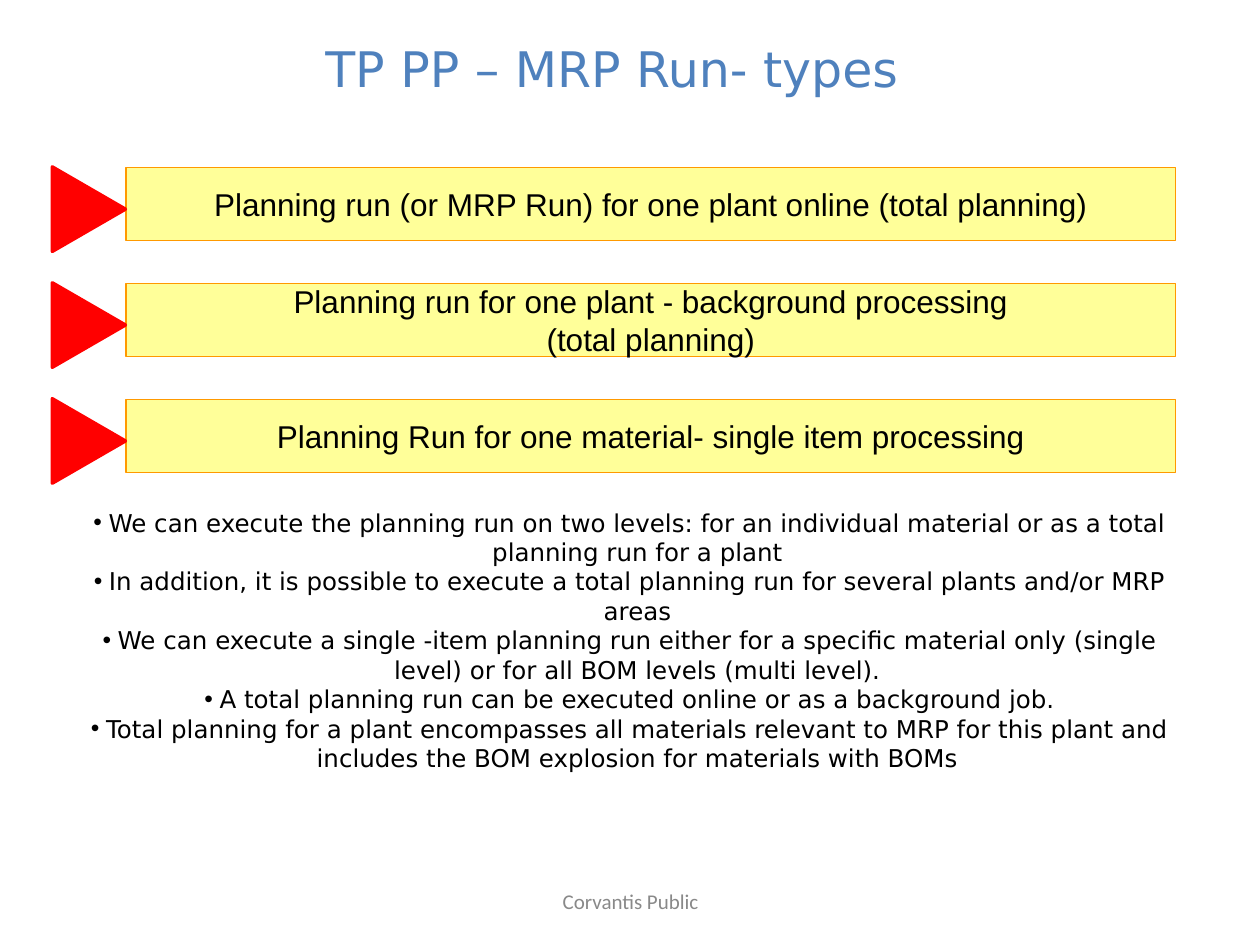
from lxml import etree
from pptx import Presentation
from pptx import util as u
from pptx.dml.color import RGBColor
from pptx.enum import shapes, text
from pptx.oxml.ns import qn

BLUE = RGBColor(0x4F, 0x81, 0xBD)
YELLOW = RGBColor(0xFF, 0xFF, 0x99)
ORANGE = RGBColor(0xFF, 0x99, 0x00)
RED = RGBColor(0xFF, 0x00, 0x00)
BLACK = RGBColor(0x00, 0x00, 0x00)
GREY = RGBColor(0x89, 0x89, 0x89)

TITLE = "TP PP – MRP Run- types"
RUN_TYPES = [
    "Planning run (or MRP Run) for one plant online (total planning)",
    "Planning run for one plant - background processing\n(total planning)",
    "Planning Run for one material- single item processing",
]
NOTES = [
    "We can execute the planning run on two levels: for an individual material or as a total planning run for a plant",
    "In addition, it is possible to execute a total planning run for several plants and/or MRP areas",
    "We can execute a single -item planning run either for a specific material only (single level) or for all BOM levels (multi level).",
    "A total planning run can be executed online or as a background job.",
    "Total planning for a plant encompasses all materials relevant to MRP for this plant and includes the BOM explosion for materials with BOMs",
]
FOOTER = "Corvantis Public"

BAR_LEFT, BAR_TOP, BAR_WIDTH, BAR_HEIGHT = 1, 1.33, 8.33, 0.58
ROW_STEP = 0.92
MARKER_LEFT, MARKER_DROP, MARKER_WIDTH = 0.37, 0.04, 0.67
BULLET_INDENT = u.Inches(0.12)


def inches(*lengths):
    return [u.Inches(length) for length in lengths]


def write(shape, content, font, size, color, wrap=True):
    frame = shape.text_frame
    frame.text = content
    frame.word_wrap = wrap
    frame.vertical_anchor = text.MSO_ANCHOR.MIDDLE
    for paragraph in frame.paragraphs:
        paragraph.alignment = text.PP_ALIGN.CENTER
        for run in paragraph.runs:
            run.font.name = font
            run.font.size = u.Pt(size)
            run.font.color.rgb = color
    return frame


def add_solid(slide, preset, box, fill, line, width):
    shape = slide.shapes.add_shape(preset, *inches(*box))
    shape.shadow.inherit = False
    shape.fill.solid()
    shape.fill.fore_color.rgb = fill
    shape.line.color.rgb = line
    shape.line.width = u.Pt(width)
    return shape


def add_bullet(paragraph):
    properties = paragraph._p.get_or_add_pPr()
    properties.set("marL", str(BULLET_INDENT))
    properties.set("indent", str(-BULLET_INDENT))
    etree.SubElement(properties, qn("a:buFont"), typeface="Arial")
    etree.SubElement(properties, qn("a:buChar"), char="•")


def main():
    deck = Presentation()
    deck.slide_width, deck.slide_height = inches(10, 7.5)
    slide = deck.slides.add_slide(deck.slide_layouts[5])

    title = slide.shapes.title
    title.left, title.top, title.width, title.height = inches(0.08, 0.17, 9.55, 0.73)
    write(title, TITLE, "DejaVu Sans", 28, BLUE)

    for row, run_type in enumerate(RUN_TYPES):
        top = BAR_TOP + row * ROW_STEP
        bar = add_solid(slide, shapes.MSO_SHAPE.RECTANGLE,
                        (BAR_LEFT, top, BAR_WIDTH, BAR_HEIGHT), YELLOW, ORANGE, 1)
        write(bar, run_type, "Arial", 18, BLACK, wrap=False)

    for row in range(len(RUN_TYPES)):
        top = BAR_TOP + MARKER_DROP + row * ROW_STEP
        marker = add_solid(slide, shapes.MSO_SHAPE.ISOSCELES_TRIANGLE,
                           (MARKER_LEFT, top, MARKER_WIDTH, BAR_HEIGHT), RED, RED, 2)
        marker.rotation = 90

    notes = slide.shapes.add_textbox(*inches(0.5, 3.98, 9, 2.24))
    frame = write(notes, "\n".join(NOTES), "DejaVu Sans", 14, BLACK)
    frame.vertical_anchor = text.MSO_ANCHOR.TOP
    frame.auto_size = text.MSO_AUTO_SIZE.SHAPE_TO_FIT_TEXT
    for paragraph in frame.paragraphs:
        add_bullet(paragraph)

    footer = slide.shapes.add_textbox(*inches(3.42, 6.95, 3.17, 0.4))
    write(footer, FOOTER, "Calibri", 12, GREY)

    deck.save("out.pptx")


if __name__ == "__main__":
    main()
